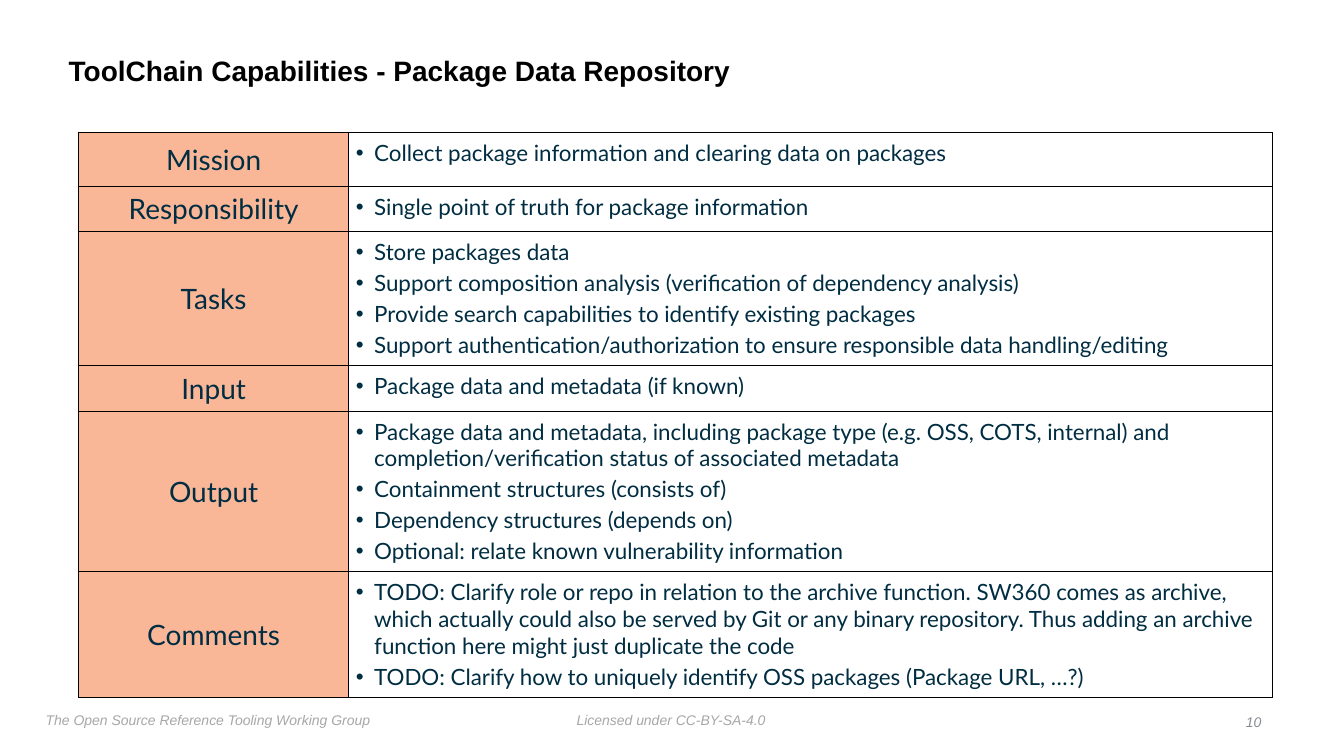
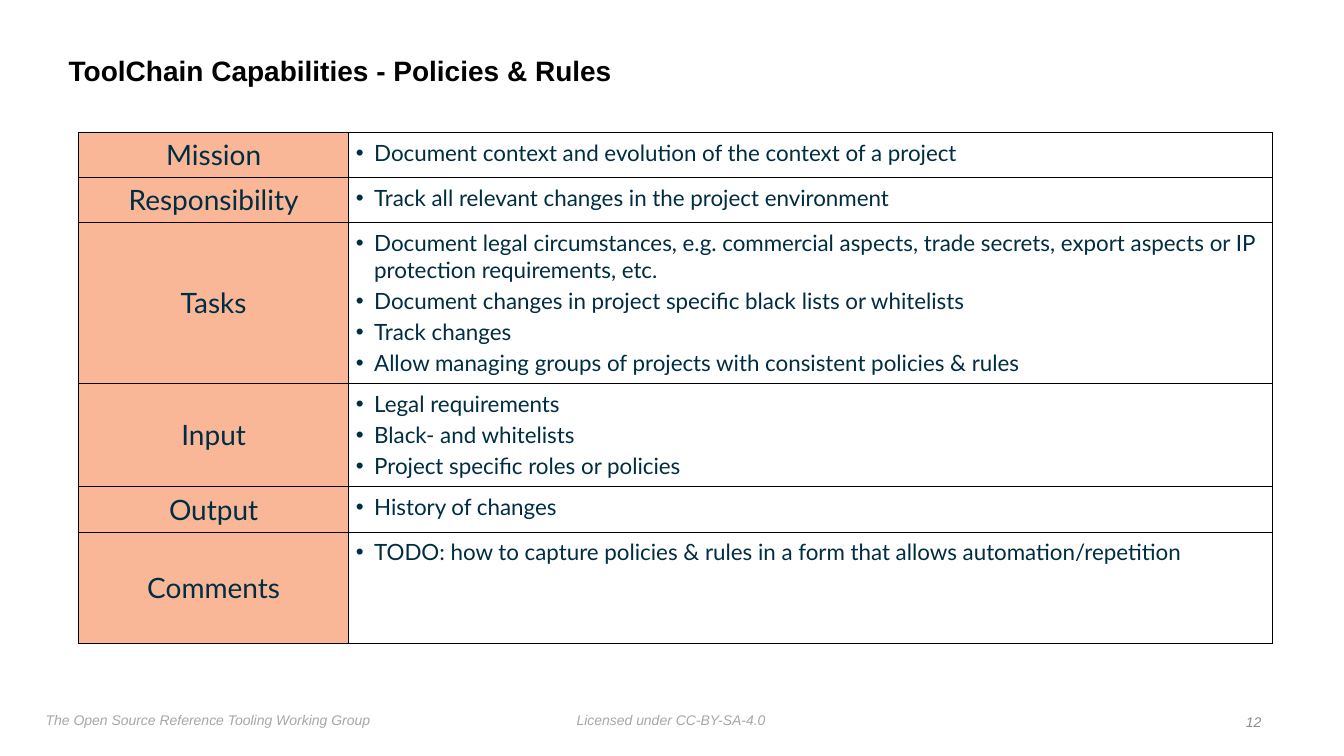
from dataclasses import dataclass
from pptx import Presentation
from pptx import util as u
from pptx.dml import color
from pptx.enum import text
from pptx.oxml import parse_xml
from pptx.oxml import ns


@dataclass(frozen=True)
class Theme:
    head: str = "Arial"
    body: str = "Lato"
    black: str = "000000"
    ink: str = "002D41"
    peach: str = "FAB798"
    foot: str = "A7A7A7"
    page: str = "888C91"
    large: int = 20
    mid: int = 16
    small: int = 10
    line: float = 0.5


THEME = Theme()
LABELS = ["Mission", "Responsibility", "Tasks", "Input", "Output", "Comments"]
COLS = [6.81, 23.27]
INSET = 0.13
PAD = 0.18
INDENT = 0.46

DECK = [
    {
        "title": "ToolChain Capabilities - Package Data Repository",
        "page": "10",
        "rows": [1.37, 1.14, 3.37, 1.14, 4.03, 3.18],
        "lists": [
            ["Collect package information and clearing data on packages"],
            ["Single point of truth for package information"],
            [
                "Store packages data",
                "Support composition analysis (verification of dependency analysis)",
                "Provide search capabilities to identify existing packages",
                "Support authentication/authorization to ensure responsible data handling/editing",
            ],
            ["Package data and metadata (if known)"],
            [
                "Package data and metadata, including package type (e.g. OSS, COTS, internal) and "
                "completion/verification status of associated metadata",
                "Containment structures (consists of)",
                "Dependency structures (depends on)",
                "Optional: relate known vulnerability information",
            ],
            [
                "TODO: Clarify role or repo in relation to the archive function. SW360 comes as archive, "
                "which actually could also be served by Git or any binary repository. Thus adding an archive "
                "function here might just duplicate the code",
                "TODO: Clarify how to uniquely identify OSS packages (Package URL, …?)",
            ],
        ],
    },
    {
        "title": "ToolChain Capabilities - Policies & Rules",
        "page": "12",
        "rows": [1.14, 1.14, 4.06, 2.57, 1.14, 2.82],
        "lists": [
            ["Document context and evolution of the context of a project"],
            ["Track all relevant changes in the project environment"],
            [
                "Document legal circumstances, e.g. commercial aspects, trade secrets, export aspects or IP "
                "protection requirements, etc.",
                "Document changes in project specific black lists or whitelists",
                "Track changes",
                "Allow managing groups of projects with consistent policies & rules",
            ],
            ["Legal requirements", "Black- and whitelists", "Project specific roles or policies"],
            ["History of changes"],
            ["TODO: how to capture policies & rules in a form that allows automation/repetition"],
        ],
    },
]


def style(para, face, size, tone, bold=False, slant=False):
    for run in para.runs:
        font = run.font
        font.name, font.size = face, u.Pt(size)
        font.bold, font.italic = bold, slant
        font.color.rgb = color.RGBColor.from_string(tone)


def inset(item, size):
    item.margin_left = item.margin_right = u.Cm(size)
    item.margin_top = item.margin_bottom = u.Cm(size)


def add_title(slide, words, box):
    title = slide.shapes.title
    title.left, title.top, title.width, title.height = map(u.Cm, box)
    frame = title.text_frame
    frame.text = words
    frame.auto_size = text.MSO_AUTO_SIZE.NONE
    frame.vertical_anchor = text.MSO_ANCHOR.MIDDLE
    inset(frame, INSET)
    para = frame.paragraphs[0]
    para.alignment = text.PP_ALIGN.LEFT
    para.line_spacing = 0.9
    style(para, THEME.head, THEME.large, THEME.black, bold=True)


def add_note(slide, words, box, tone, align=text.PP_ALIGN.LEFT):
    frame = slide.shapes.add_textbox(*map(u.Cm, box)).text_frame
    frame.text = words
    frame.word_wrap = True
    inset(frame, INSET)
    para = frame.paragraphs[0]
    para.alignment = align
    style(para, THEME.head, THEME.small, tone, slant=True)


def add_foot(slide, page, box):
    left, top, width, height = box
    add_note(slide, "Licensed under CC-BY-SA-4.0", (left + 13.38, top, 6, height), THEME.foot)
    add_note(slide, "The Open Source Reference Tooling Working Group",
             (left, top, 10, height), THEME.foot)
    add_note(slide, page, (left + width - 1.5, top + 0.05, 1.5, height),
             THEME.page, text.PP_ALIGN.RIGHT)


def add_edge(cell):
    props = cell._tc.get_or_add_tcPr()
    for side in ("lnL", "lnR", "lnT", "lnB"):
        props.append(parse_xml(
            f'<a:{side} {ns.nsdecls("a")} w="{u.Pt(THEME.line)}"><a:solidFill>'
            f'<a:srgbClr val="{THEME.black}"/></a:solidFill></a:{side}>'))


def fill_label(cell, words):
    add_edge(cell)
    cell.fill.solid()
    cell.fill.fore_color.rgb = color.RGBColor.from_string(THEME.peach)
    inset(cell, 0)
    cell.vertical_anchor = text.MSO_ANCHOR.MIDDLE
    cell.text_frame.text = words
    para = cell.text_frame.paragraphs[0]
    para.alignment = text.PP_ALIGN.CENTER
    style(para, THEME.body, THEME.large, THEME.ink)


def fill_list(cell, items):
    add_edge(cell)
    cell.fill.background()
    inset(cell, PAD)
    cell.text_frame.text = "\n".join(items)
    for index, para in enumerate(cell.text_frame.paragraphs):
        props = para._p.get_or_add_pPr()
        props.set("marL", str(u.Cm(INDENT)))
        props.set("indent", str(-u.Cm(INDENT)))
        props.append(parse_xml(f'<a:buFont {ns.nsdecls("a")} typeface="Arial"/>'))
        props.append(parse_xml(f'<a:buChar {ns.nsdecls("a")} char="•"/>'))
        if index:
            para.space_before = u.Pt(3)
        style(para, THEME.body, THEME.mid, THEME.ink)


def add_grid(slide, rows, lists, left, top):
    box = map(u.Cm, (left, top, sum(COLS), sum(rows)))
    grid = slide.shapes.add_table(len(rows), len(COLS), *box).table
    grid.first_row = grid.horz_banding = False
    for col, width in zip(grid.columns, COLS):
        col.width = u.Cm(width)
    for row, height, label, items in zip(grid.rows, rows, LABELS, lists):
        row.height = u.Cm(height)
        fill_label(row.cells[0], label)
        fill_list(row.cells[1], items)


def add_slide(deck, data):
    slide = deck.slides.add_slide(deck.slide_layouts[5])
    add_title(slide, data["title"], (1.6, 1, 27.3, 1.65))
    add_grid(slide, data["rows"], data["lists"], 1.98, 3.33)
    add_foot(slide, data["page"], (1.02, 17.81, 30.9, 0.64))


def main():
    deck = Presentation()
    deck.slide_width, deck.slide_height = u.Cm(33.87), u.Cm(19.05)
    for data in DECK:
        add_slide(deck, data)
    deck.save("out.pptx")


if __name__ == "__main__":
    main()
